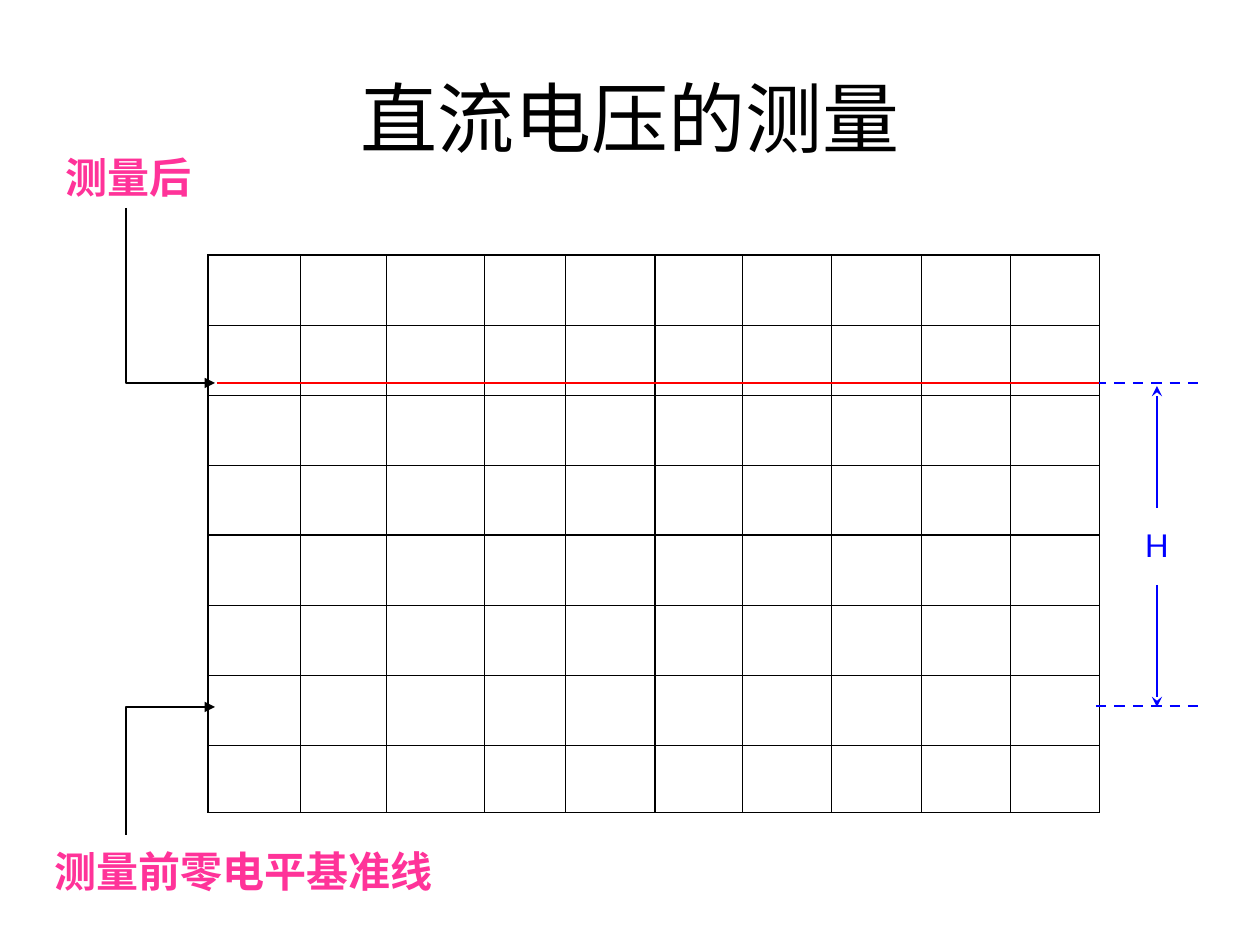
from lxml import etree
from pptx import Presentation
from pptx import util as u
from pptx.dml.color import RGBColor
from pptx.enum import dml, shapes, text
from pptx.oxml.ns import qn

PX = 914400 / 126
COLORS = {"ink": "000000", "trace": "FF0000", "height": "0000FF", "label": "FF3399"}

TITLE = "直流电压的测量"
LABELS = [  # text, box, size, colour, bold
    ("H", (1125, 520, 64, 50), 18, "height", False),
    ("测量前零电平基准线", (25, 839, 437, 63), 24, "label", True),
    ("测量后", (34, 145, 189, 63), 24, "label", True),
]
COLUMNS = [92, 86, 98, 81, 90, 88, 89, 90, 89, 89]
ROWS = [70] * 7 + [68]
GRID_LEFT, GRID_TOP = 208, 255
OUTER, AXIS, INNER = 0.75, 1.08, 0.45
TRACE_Y, ZERO_Y = 383, 706
LINES = [  # from, to, colour, dashed, arrowhead
    ((1096, TRACE_Y), (1206, TRACE_Y), "height", True, None),
    ((1096, ZERO_Y), (1206, ZERO_Y), "height", True, None),
    ((1157, 508), (1157, 386), "height", False, "stealth"),
    ((1157, 585), (1157, 707), "height", False, "stealth"),
    ((217, TRACE_Y), (1099, TRACE_Y), "trace", False, None),
]
POINTERS = [
    [(126, 835), (126, 707), (215, 707)],
    [(126, 208), (126, TRACE_Y), (215, TRACE_Y)],
]


def px(*lengths):
    return [u.Emu(round(length * PX)) for length in lengths]


def color(name):
    return RGBColor.from_string(COLORS[name])


def style_line(line, name, head=None):
    line.color.rgb = color(name)
    line.width = u.Pt(1.5)
    if head:
        etree.SubElement(line._get_or_add_ln(), qn("a:tailEnd"), type=head)


def add_line(page, start, end, name, dashed, head):
    line = page.shapes.add_connector(
        shapes.MSO_CONNECTOR.STRAIGHT, *px(*start, *end))
    etree.SubElement(line._element.spPr, qn("a:effectLst"))
    if dashed:
        line.line.dash_style = dml.MSO_LINE.DASH
    style_line(line.line, name, head)


def add_pointer(page, points):
    builder = page.shapes.build_freeform(*points[0], scale=PX)
    builder.add_line_segments(points[1:], close=False)
    pointer = builder.convert_to_shape()
    pointer.shadow.inherit = False
    pointer.fill.background()
    style_line(pointer.line, "ink", "triangle")


def add_label(page, words, place, size, name, bold):
    box = page.shapes.add_textbox(*px(*place))
    box.text_frame.word_wrap = True
    para = box.text_frame.paragraphs[0]
    para.text = words
    para.alignment = text.PP_ALIGN.CENTER
    para.font.name = "Lato"
    para.font.size = u.Pt(size)
    para.font.bold = bold
    para.font.color.rgb = color(name)


def border_widths(index, count, middle):
    """Widths before and after a cell along one axis of the grid."""
    edges = {0: OUTER, middle: AXIS, count: OUTER}
    return edges.get(index, INNER), edges.get(index + 1, INNER)


def set_borders(cell, widths):
    properties = cell._tc.get_or_add_tcPr()
    for place, (side, width) in enumerate(zip("LRTB", widths)):
        border = etree.Element(qn(f"a:ln{side}"), w=str(u.Pt(width)))
        fill = etree.SubElement(border, qn("a:solidFill"))
        etree.SubElement(fill, qn("a:srgbClr"), val=COLORS["ink"])
        properties.insert(place, border)


def add_grid(page):
    frame = page.shapes.add_table(
        len(ROWS), len(COLUMNS),
        *px(GRID_LEFT, GRID_TOP, sum(COLUMNS), sum(ROWS)))
    table = frame.table
    table.first_row = table.horz_banding = False
    for column, width in zip(table.columns, px(*COLUMNS)):
        column.width = width
    for row, height in zip(table.rows, px(*ROWS)):
        row.height = height
    for r in range(len(ROWS)):
        for c in range(len(COLUMNS)):
            cell = table.cell(r, c)
            cell.fill.background()
            set_borders(cell, border_widths(c, len(COLUMNS), 5)
                        + border_widths(r, len(ROWS), 4))


def main():
    deck = Presentation()
    deck.slide_width, deck.slide_height = u.Inches(10), u.Inches(7.5)
    page = deck.slides.add_slide(deck.slide_layouts[5])

    title = page.shapes.title
    title.left, title.top, title.width, title.height = px(63, 38, 1134, 158)
    title.text_frame.text = TITLE
    title.text_frame.vertical_anchor = text.MSO_ANCHOR.MIDDLE
    para = title.text_frame.paragraphs[0]
    para.alignment = text.PP_ALIGN.CENTER
    para.font.name = "Arial"
    para.font.size = u.Pt(44)
    para.font.color.rgb = color("ink")

    add_grid(page)
    for line in LINES:
        add_line(page, *line)
    for label in LABELS:
        add_label(page, *label)
    for points in POINTERS:
        add_pointer(page, points)
    deck.save("out.pptx")


if __name__ == "__main__":
    main()
